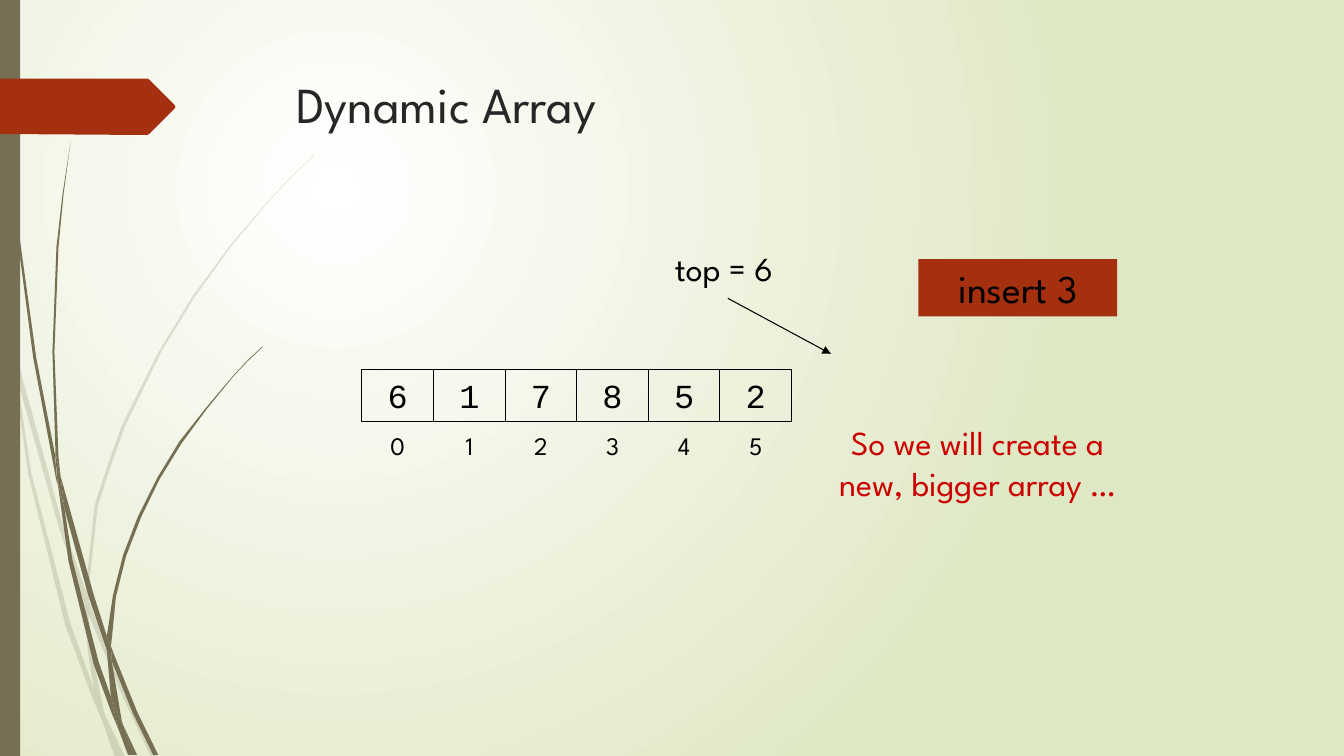
"""Build a slide that shows a full dynamic array before it grows."""
from lxml.etree import SubElement
from pptx import Presentation
from pptx.dml.color import RGBColor
from pptx.enum.shapes import MSO_CONNECTOR, MSO_SHAPE
from pptx.enum.text import MSO_ANCHOR, MSO_AUTO_SIZE, PP_ALIGN
from pptx.oxml.ns import qn
from pptx.util import Inches, Pt

WHITE = RGBColor(0xFF, 0xFF, 0xFF)
PALE_GREEN = RGBColor(0xDF, 0xE8, 0xC4)
OLIVE = RGBColor(0x76, 0x6F, 0x54)
RUST = RGBColor(0xA5, 0x30, 0x10)
CHARCOAL = RGBColor(0x26, 0x26, 0x26)
BLACK = RGBColor(0, 0, 0)
RED = RGBColor(0xCC, 0, 0)
SPARTAN = "League Spartan"
COURIER = "Courier New"

FAINT_BLADES = [
    [(0.11, 3.5), (0.09, 3.22), (0, 2.82), (0, 2.99), (0.1, 3.44)],
    [(0.58, 5.22), (0.84, 5.99), (0.85, 5.86), (0.62, 5.2), (0.14, 3.45), (0.17, 3.76)],
    [(0.92, 6.07), (0.88, 5.96), (0.88, 6.1), (1.23, 6.94), (1.5, 7.51), (1.55, 7.51),
     (1.27, 6.92)],
    [(1.19, 7.51), (1.24, 7.51), (1.05, 7.11)],
    [(0.93, 6.83), (0.7, 6.19), (0.31, 4.69), (0.17, 3.76), (0.11, 3.5), (0.28, 4.7),
     (0.65, 6.21), (0.92, 6.93), (1.01, 7.14), (0.99, 7.07)],
    [(0.84, 5.99), (0.87, 6.46), (0.93, 6.83), (0.96, 6.92), (1.05, 7.11), (1.03, 7.06),
     (0.91, 6.46), (0.88, 6.1), (0.88, 6.08)],
    [(0.88, 5.84), (0.97, 5.02), (1.1, 4.62), (1.24, 4.23), (1.6, 3.49), (1.93, 2.95),
     (2.29, 2.45), (2.68, 1.98), (2.9, 1.75), (3.12, 1.54), (3.12, 1.53), (2.89, 1.75),
     (2.68, 1.97), (2.28, 2.44), (1.91, 2.94), (1.58, 3.48), (1.21, 4.22), (1.07, 4.61),
     (0.94, 5.01), (0.85, 5.84), (0.85, 5.86), (0.88, 5.96)],
    [(1.01, 7.14), (1.14, 7.51), (1.19, 7.51)],
    [(0.88, 6.08), (0.88, 6.1), (0.88, 5.96), (0.85, 5.86), (0.84, 5.99)],
    [(0.96, 6.92), (0.93, 6.83), (0.99, 7.07), (1.01, 7.14), (1.19, 7.51), (1.05, 7.11)],
]
DARK_BLADES = [
    [(0.07, 1.1), (0.17, 2.33), (0.33, 3.55), (0.56, 4.77), (0.57, 4.81), (0.55, 4.57),
     (0.55, 4.53), (0.36, 3.55), (0.19, 2.32), (0.08, 1.09), (0.05, 0.48), (0.04, 0),
     (0.03, 0), (0.04, 0.48)],
    [(0.88, 5.92), (1.06, 6.45), (1.06, 6.31), (0.93, 5.9), (0.6, 4.72), (0.64, 5.05)],
    [(1.13, 6.49), (1.1, 6.41), (1.11, 6.56), (1.32, 7.08), (1.52, 7.49), (1.57, 7.49),
     (1.36, 7.06)],
    [(1.1, 6.91), (0.98, 6.57), (0.72, 5.56), (0.64, 5.05), (0.57, 4.77), (0.68, 5.57),
     (0.93, 6.59), (1.11, 7.08), (1.17, 7.22), (1.16, 7.17)],
    [(0.6, 4.72), (0.58, 4.53), (0.54, 3.49), (0.58, 2.45), (0.63, 1.93), (0.7, 1.41),
     (0.62, 1.93), (0.56, 2.45), (0.52, 3.49), (0.55, 4.49)],
    [(1.33, 7.49), (1.36, 7.49), (1.22, 7.19)],
    [(0.57, 4.77), (0.64, 5.05), (0.6, 4.72), (0.55, 4.49), (0.55, 4.53)],
    [(1.11, 6.33), (1.15, 5.92), (1.25, 5.52), (1.4, 5.13), (1.58, 4.76), (1.8, 4.4),
     (2.05, 4.06), (2.31, 3.74), (2.45, 3.59), (2.61, 3.44), (2.6, 3.44), (2.45, 3.58),
     (2.31, 3.73), (2.04, 4.05), (1.78, 4.38), (1.56, 4.74), (1.37, 5.12), (1.22, 5.51),
     (1.12, 5.91), (1.06, 6.31), (1.1, 6.41)],
    [(1.17, 7.22), (1.27, 7.49), (1.31, 7.49)],
    [(1.06, 6.45), (1.1, 6.91), (1.16, 7.06), (1.22, 7.19), (1.21, 7.16), (1.11, 6.56),
     (1.09, 6.51)],
    [(1.06, 6.45), (1.09, 6.51), (1.11, 6.56), (1.1, 6.41), (1.06, 6.31)],
    [(1.16, 7.06), (1.1, 6.91), (1.16, 7.17), (1.17, 7.22), (1.3, 7.49), (1.33, 7.49),
     (1.22, 7.19)],
]
TAG_OUTLINE = [(0, 0.78), (1.46, 0.78), (1.48, 0.79), (1.73, 1.04), (1.74, 1.06),
               (1.73, 1.08), (1.48, 1.33), (1.46, 1.34), (0, 1.33)]

ARRAY_VALUES = [6, 1, 7, 8, 5, 2]
ARRAY_LEFT = 3.59
CELL_WIDTH = 0.71


def paint_background(slide):
    """Fill the background with a circular gradient from the upper left."""
    fill = slide.background.fill
    fill.gradient()
    for stop, color in zip(fill.gradient_stops, (WHITE, PALE_GREEN)):
        stop.color.rgb = color
    gradient = slide.element.find(".//" + qn("a:gradFill"))
    gradient.remove(gradient.find(qn("a:lin")))
    circle = SubElement(gradient, qn("a:path"), path="circle")
    SubElement(circle, qn("a:fillToRect"), l="25000", t="25000", r="75000", b="75000")


def style_shape(shape, fill=None, line=None):
    """Give a shape a plain fill and line without a shadow."""
    shape.shadow.inherit = False
    if fill is None:
        shape.fill.background()
    else:
        shape.fill.solid()
        shape.fill.fore_color.rgb = fill
    if line is None:
        shape.line.fill.background()
    else:
        shape.line.color.rgb = line
        shape.line.width = Pt(0.75)


def add_outline(shapes, points, color, opacity=100):
    """Draw a filled polygon through points given in inches."""
    corners = [(Inches(x), Inches(y)) for x, y in points]
    builder = shapes.build_freeform(*corners[0])
    builder.add_line_segments(corners[1:], close=True)
    shape = builder.convert_to_shape()
    style_shape(shape, color)
    if opacity < 100:
        tint = shape.element.spPr.find(qn("a:solidFill"))[0]
        SubElement(tint, qn("a:alpha"), val=str(opacity * 1000))


def add_rectangle(shapes, left, top, width, height, fill=None, line=None):
    """Add a rectangle with sizes in inches."""
    shape = shapes.add_shape(MSO_SHAPE.RECTANGLE, Inches(left), Inches(top),
                             Inches(width), Inches(height))
    style_shape(shape, fill, line)
    return shape


def write_text(shape, text, size, font=SPARTAN, color=BLACK, align=PP_ALIGN.CENTER):
    """Write one formatted paragraph at the top of a shape."""
    frame = shape.text_frame
    frame.text = text
    frame.word_wrap = True
    frame.vertical_anchor = MSO_ANCHOR.TOP
    paragraph = frame.paragraphs[0]
    paragraph.alignment = align
    paragraph.font.size = Pt(size)
    paragraph.font.name = font
    paragraph.font.color.rgb = color


def add_label(slide, text, left, top, width, height, size, color=BLACK):
    """Add a centred text box with sizes in inches."""
    box = slide.shapes.add_textbox(Inches(left), Inches(top), Inches(width), Inches(height))
    write_text(box, text, size, color=color)
    box.text_frame.auto_size = MSO_AUTO_SIZE.SHAPE_TO_FIT_TEXT


def add_arrow(slide, start, end):
    """Add a thin black arrow between two points in inches."""
    arrow = slide.shapes.add_connector(MSO_CONNECTOR.STRAIGHT,
                                       *map(Inches, start), *map(Inches, end))
    arrow.line.color.rgb = BLACK
    arrow.line.width = Pt(0.75)
    SubElement(arrow.line._get_or_add_ln(), qn("a:tailEnd"), type="triangle")
    SubElement(arrow.element.spPr, qn("a:effectLst"))


def add_decoration(slide):
    """Draw the grass blades, side bar and title tag."""
    for blades, opacity in ((FAINT_BLADES, 20), (DARK_BLADES, 100)):
        group = slide.shapes.add_group_shape()
        for points in blades:
            add_outline(group.shapes, points, OLIVE, opacity)
    add_rectangle(slide.shapes, 0, 0, 0.2, 7.5, fill=OLIVE)
    add_outline(slide.shapes, TAG_OUTLINE, RUST)


def add_title(slide, text):
    """Place and format the title."""
    title = slide.shapes.title
    title.left, title.top = Inches(2.84), Inches(0.68)
    title.width, title.height = Inches(9.75), Inches(1.4)
    write_text(title, text, 36, color=CHARCOAL, align=PP_ALIGN.LEFT)


def add_array(slide):
    """Draw the array cells with their indexes below."""
    group = slide.shapes.add_group_shape()
    for index, value in enumerate(ARRAY_VALUES):
        left = ARRAY_LEFT + index * CELL_WIDTH
        cell = add_rectangle(group.shapes, left, 3.67, CELL_WIDTH, 0.51, line=BLACK)
        write_text(cell, str(value), 24, font=COURIER)
        add_label(slide, str(index), left, 4.22, CELL_WIDTH, 0.4, 18)


def main():
    """Build and save the slide."""
    presentation = Presentation()
    presentation.slide_width, presentation.slide_height = Inches(13.33), Inches(7.5)
    slide = presentation.slides.add_slide(presentation.slide_layouts[5])
    paint_background(slide)
    add_decoration(slide)
    add_title(slide, "Dynamic Array")
    add_array(slide)
    add_label(slide, "top = 6", 6.43, 2.41, 1.5, 0.5, 24)
    add_arrow(slide, (7.22, 2.96), (8.24, 3.51))
    insert_box = add_rectangle(slide.shapes, 9.11, 2.57, 1.97, 0.57, fill=RUST)
    write_text(insert_box, "insert 3", 28)
    add_label(slide, "So we will create a new, bigger array …", 8.08, 4.14, 3.23, 0.91, 24, RED)
    presentation.save("out.pptx")


if __name__ == "__main__":
    main()
